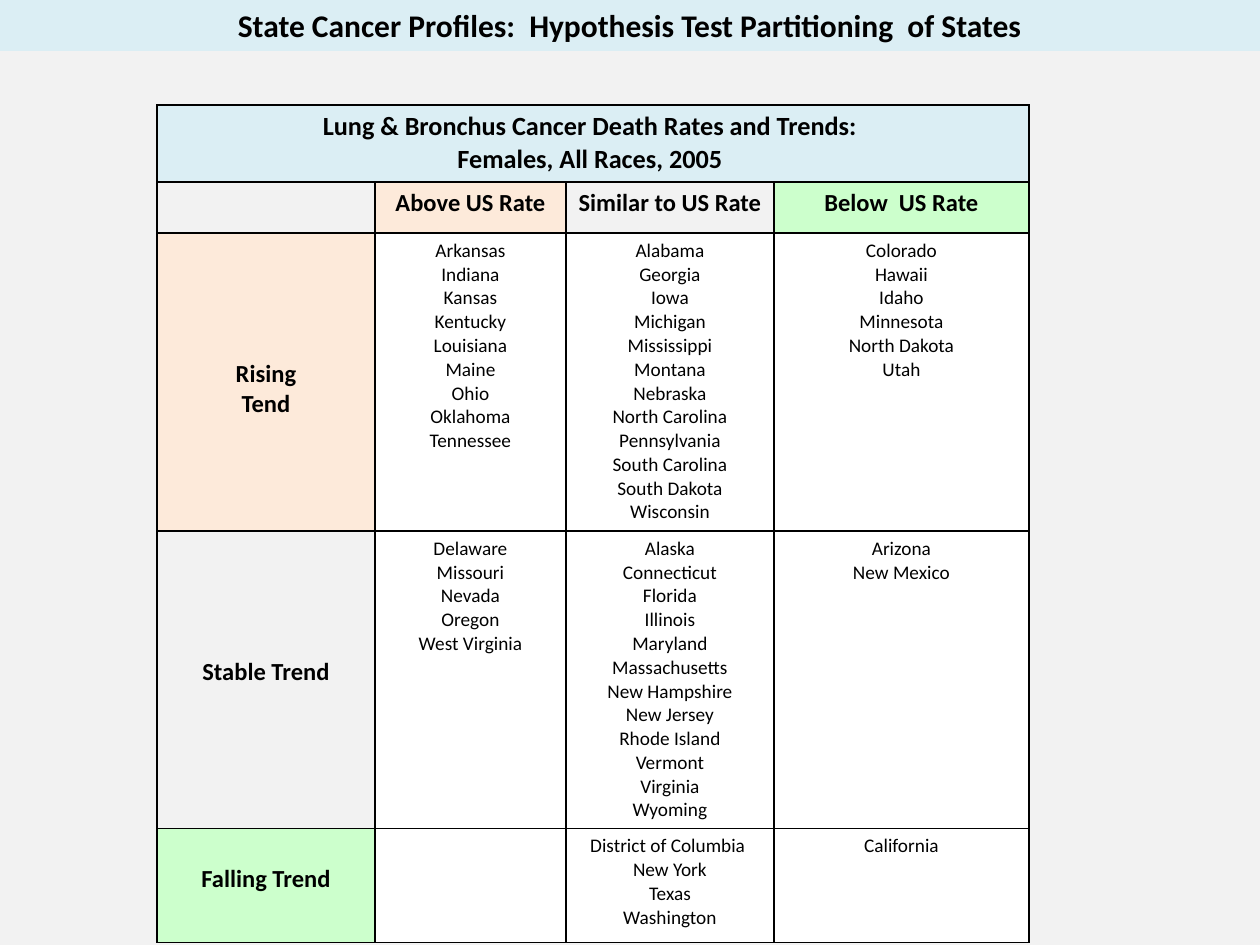
from lxml.etree import SubElement
from pptx import Presentation
from pptx.dml.color import RGBColor
from pptx.enum.shapes import MSO_SHAPE as Shape
from pptx.enum.text import MSO_ANCHOR as Anchor, PP_ALIGN as Align
from pptx.oxml.ns import qn
from pptx.util import Emu, Pt

PX_PER_INCH = 126
FONT = "Calibri"
BLACK, WHITE, GREY = "000000", "FFFFFF", "F2F2F2"
BLUE, ORANGE, GREEN = "DBEEF4", "FDEADA", "CCFFCC"

COLUMN_WIDTHS = [218, 191, 208, 255]
ROW_HEIGHTS = [77, 51, 298, 297, 114]
CELL_MARGIN = 6
LABEL_LINE = 30

HEADING = ["Lung & Bronchus Cancer Death Rates and Trends: ", "Females, All Races, 2005 "]
RATES = [
    ("Above US Rate", ORANGE),
    ("Similar to US Rate", GREY),
    ("Below  US Rate", GREEN),
]
TRENDS = [
    (["Rising", "Tend"], ORANGE, 4, [
        ["Arkansas", "Indiana", "Kansas", "Kentucky", "Louisiana", "Maine",
         "Ohio", "Oklahoma", "Tennessee"],
        ["Alabama", "Georgia", "Iowa", "Michigan", "Mississippi", "Montana",
         "Nebraska", "North Carolina", "Pennsylvania", "South Carolina",
         "South Dakota", "Wisconsin"],
        ["Colorado", "Hawaii", "Idaho", "Minnesota", "North Dakota", "Utah"],
    ]),
    (["Stable Trend"], GREY, 4, [
        ["Delaware", "Missouri", "Nevada", "Oregon", "West Virginia"],
        ["Alaska", "Connecticut", "Florida", "Illinois", "Maryland",
         "Massachusetts", "New Hampshire", "New Jersey", "Rhode Island",
         "Vermont", "Virginia", "Wyoming"],
        ["Arizona", "New Mexico"],
    ]),
    (["Falling Trend"], GREEN, 1, [
        [],
        ["District of Columbia ", "New York", "Texas", "Washington"],
        ["California"],
    ]),
]


def px(length):
    return Emu(round(length * 914400 / PX_PER_INCH))


def color(hex_string):
    return RGBColor.from_string(hex_string)


def paint(fill, hex_string):
    fill.solid()
    fill.fore_color.rgb = color(hex_string)


def write_lines(frame, lines, size, bold):
    for index, line in enumerate(lines):
        paragraph = frame.add_paragraph() if index else frame.paragraphs[0]
        paragraph.alignment = Align.CENTER
        run = paragraph.add_run()
        run.text = line
        run.font.name = FONT
        run.font.size = Pt(size)
        run.font.bold = bold
        run.font.color.rgb = color(BLACK)


def outline_cell(cell):
    properties = cell._tc.get_or_add_tcPr()
    for side in ("lnL", "lnR", "lnT", "lnB"):
        border = SubElement(properties, qn(f"a:{side}"), w=str(Pt(1)))
        solid = SubElement(border, qn("a:solidFill"))
        SubElement(solid, qn("a:srgbClr"), val=BLACK)


def fill_cell(cell, lines, background, size=11, bold=False, lines_above=0):
    paint(cell.fill, background)
    cell.margin_top = px(CELL_MARGIN + lines_above * LABEL_LINE)
    write_lines(cell.text_frame, lines, size, bold)


def add_title(slide, text):
    banner = slide.shapes.add_shape(Shape.RECTANGLE, 0, 0, px(1260), px(51))
    banner.shadow.inherit = False
    paint(banner.fill, BLUE)
    banner.line.fill.background()
    banner.text_frame.word_wrap = True
    banner.text_frame.vertical_anchor = Anchor.TOP
    write_lines(banner.text_frame, [text], 18, True)


def add_state_table(slide):
    table = slide.shapes.add_table(
        len(ROW_HEIGHTS), len(COLUMN_WIDTHS), px(157), px(105),
        px(sum(COLUMN_WIDTHS)), px(sum(ROW_HEIGHTS))).table
    for column, width in zip(table.columns, COLUMN_WIDTHS):
        column.width = px(width)
    for row, height in zip(table.rows, ROW_HEIGHTS):
        row.height = px(height)
    for cell in table.iter_cells():
        outline_cell(cell)

    table.cell(0, 0).merge(table.cell(0, len(COLUMN_WIDTHS) - 1))
    fill_cell(table.cell(0, 0), HEADING, BLUE, 15, True)
    fill_cell(table.cell(1, 0), [], GREY)
    for column, (rate, background) in enumerate(RATES, 1):
        fill_cell(table.cell(1, column), [rate], background, 14, True)
    for row, (trend, background, lines_above, groups) in enumerate(TRENDS, 2):
        fill_cell(table.cell(row, 0), trend, background, 14, True, lines_above)
        for column, states in enumerate(groups, 1):
            fill_cell(table.cell(row, column), states, WHITE)


def main():
    presentation = Presentation()
    presentation.slide_width = px(1260)
    presentation.slide_height = px(945)
    slide = presentation.slides.add_slide(presentation.slide_layouts[6])
    paint(slide.background.fill, GREY)
    add_state_table(slide)
    add_title(slide, "State Cancer Profiles:  Hypothesis Test Partitioning  of States")
    presentation.save("out.pptx")


if __name__ == "__main__":
    main()
